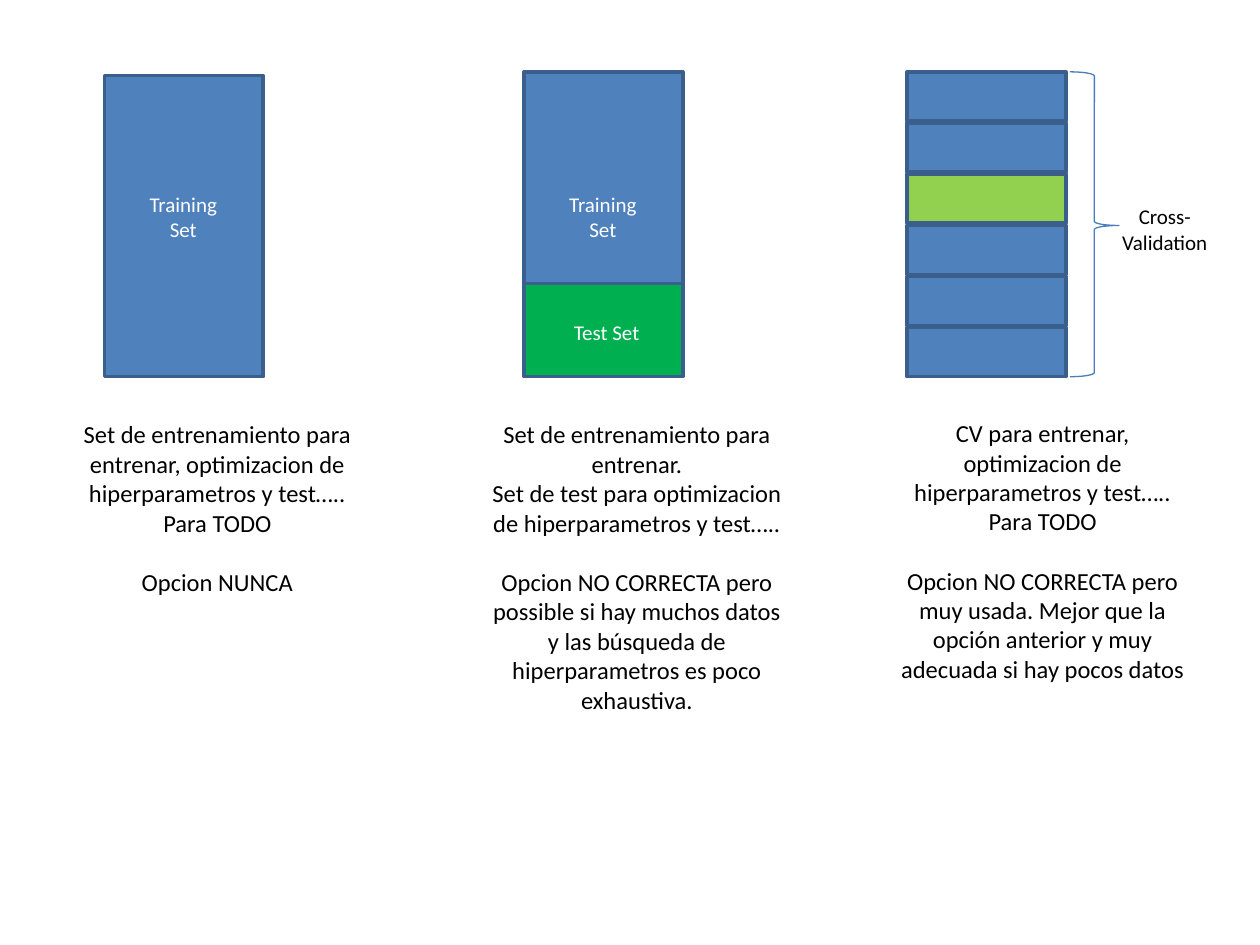
from pptx import Presentation
from pptx.dml.color import RGBColor
from pptx.enum.shapes import MSO_SHAPE
from pptx.enum.text import MSO_AUTO_SIZE, PP_ALIGN
from pptx.util import Inches, Pt

COLORS = {
    "training": "4F81BD",
    "test": "00B050",
    "validation": "92D050",
    "outline": "3A5F8C",
    "brace": "4B7EBC",
    "white": "FFFFFF",
    "black": "000000",
}
BAR_WIDTH = 1.26
BAR_TOP = 0.57
BAR_BOTTOM = 2.99

prs = Presentation()
prs.slide_width, prs.slide_height = Inches(10), Inches(7.5)
slide = prs.slides.add_slide(prs.slide_layouts[6])


def add_text(paragraphs, left, top, width, height, size=12, color="black", gap_before_last=0):
    box = slide.shapes.add_textbox(Inches(left), Inches(top), Inches(width), Inches(height))
    frame = box.text_frame
    frame.word_wrap = True
    frame.auto_size = MSO_AUTO_SIZE.SHAPE_TO_FIT_TEXT
    for i, text in enumerate(paragraphs):
        paragraph = frame.paragraphs[0] if i == 0 else frame.add_paragraph()
        paragraph.alignment = PP_ALIGN.CENTER
        run = paragraph.add_run()
        run.text = text
        run.font.name = "Calibri"
        run.font.size = Pt(size)
        run.font.color.rgb = RGBColor.from_string(COLORS[color])
    paragraph.space_before = Pt(gap_before_last)


def add_block(left, top, height, color):
    block = slide.shapes.add_shape(
        MSO_SHAPE.RECTANGLE, Inches(left), Inches(top), Inches(BAR_WIDTH), Inches(height))
    block.shadow.inherit = False
    block.fill.solid()
    block.fill.fore_color.rgb = RGBColor.from_string(COLORS[color])
    block.line.color.rgb = RGBColor.from_string(COLORS["outline"])
    block.line.width = Pt(2)


# Data blocks of the first two options
for left, top, height, color in [
    (0.83, 0.6, 2.39, "training"),
    (4.16, BAR_TOP, 1.68, "training"),
    (4.16, 2.25, 0.74, "test"),
]:
    add_block(left, top, height, color)

# Cross-validation folds, evenly spread over the bar
fold_colors = ["training"] * 6
fold_colors[2] = "validation"
fold_height = 0.39
fold_step = (BAR_BOTTOM - BAR_TOP - fold_height) / (len(fold_colors) - 1)
for i, color in enumerate(fold_colors):
    add_block(7.2, BAR_TOP + i * fold_step, fold_height, color)

# Brace around the folds
brace = slide.shapes.add_shape(
    MSO_SHAPE.RIGHT_BRACE, Inches(8.49), Inches(BAR_TOP), Inches(0.39), Inches(BAR_BOTTOM - BAR_TOP))
brace.adjustments[0] = 0.083
brace.adjustments[1] = 0.504
brace.shadow.inherit = False
brace.fill.background()
brace.line.color.rgb = RGBColor.from_string(COLORS["brace"])
brace.line.width = Pt(0.75)

# Labels of the blocks
for label, left, top, height, color in [
    ("Training Set", 0.99, 1.47, 0.5, "white"),
    ("Training Set", 4.32, 1.47, 0.5, "white"),
    ("Test Set", 4.35, 2.49, 0.3, "white"),
    ("Cross-Validation", 8.78, 1.57, 0.5, "black"),
]:
    add_text([label], left, top, 0.93, height, color=color)

# Explanation under each option, with the verdict set apart
for left, top, height, explanation in [
    (0.43, 3.28, 1.51, [
        "Set de entrenamiento para entrenar, optimizacion de hiperparametros y test…..",
        "Para TODO",
        "Opcion NUNCA",
    ]),
    (3.76, 3.28, 2.46, [
        "Set de entrenamiento para entrenar.",
        "Set de test para optimizacion de hiperparametros y test…..",
        "Opcion NO CORRECTA pero possible si hay muchos datos y las búsqueda de "
        "hiperparametros es poco exhaustiva.",
    ]),
    (6.98, 3.27, 2.22, [
        "CV para entrenar, optimizacion de hiperparametros y test…..",
        "Para TODO",
        "Opcion NO CORRECTA pero muy usada. Mejor que la opción anterior y muy "
        "adecuada si hay pocos datos",
    ]),
]:
    add_text(explanation, left, top, 2.59, height, size=14, gap_before_last=17)

prs.save("out.pptx")
